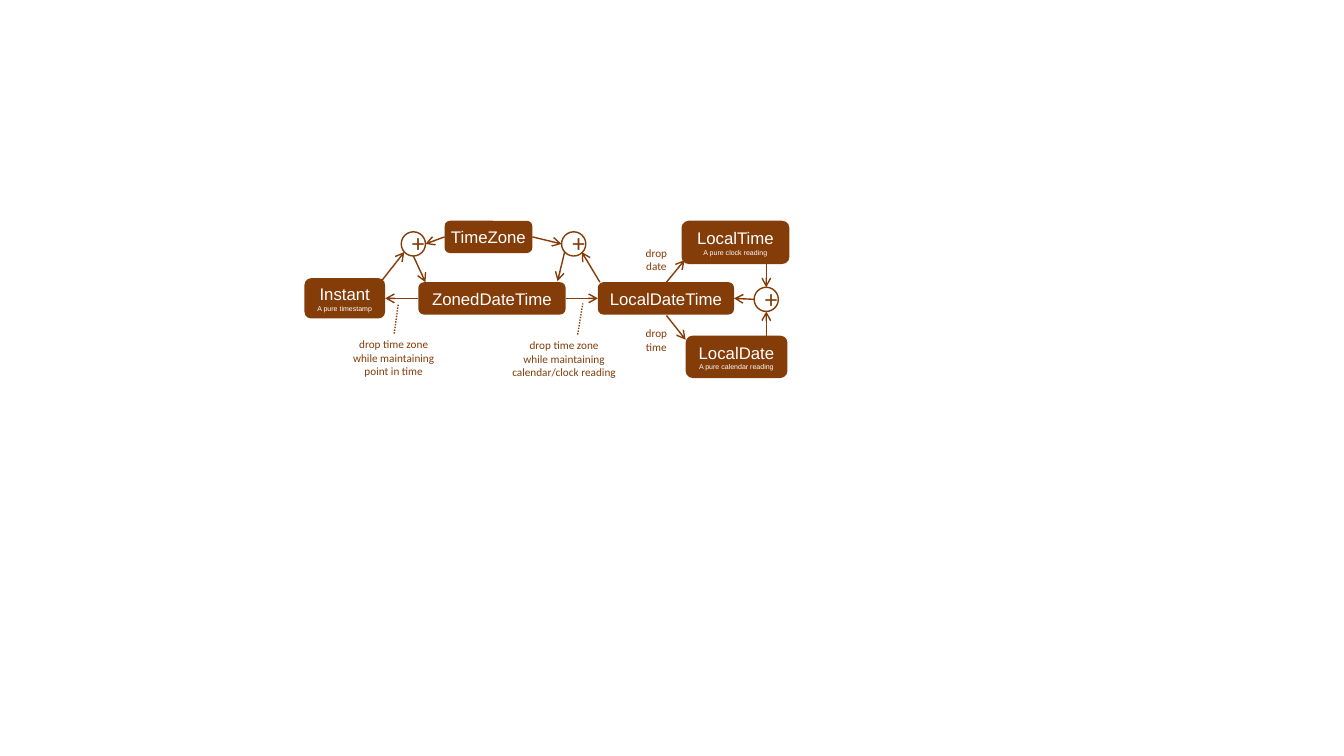
"""Draw a map of date and time types and the conversions between them."""
from copy import deepcopy
from dataclasses import dataclass

from lxml import etree
from pptx import Presentation
from pptx.dml.color import RGBColor
from pptx.enum.dml import MSO_LINE
from pptx.enum.shapes import MSO_CONNECTOR, MSO_SHAPE
from pptx.enum.text import MSO_ANCHOR, MSO_AUTO_SIZE, PP_ALIGN
from pptx.oxml.ns import qn
from pptx.util import Emu, Pt

SCALE = 9144
ROUND, OVAL = MSO_SHAPE.ROUNDED_RECTANGLE, MSO_SHAPE.OVAL
STRAIGHT, DOTS = MSO_CONNECTOR.STRAIGHT, MSO_LINE.ROUND_DOT
MIDDLE, CENTER = MSO_ANCHOR.MIDDLE, PP_ALIGN.CENTER
GROW = MSO_AUTO_SIZE.SHAPE_TO_FIT_TEXT


@dataclass(frozen=True)
class Theme:
    brown: RGBColor = RGBColor(0x84, 0x3C, 0x09)
    white: RGBColor = RGBColor(0xFF, 0xFF, 0xFF)
    head: str = "Arial"
    body: str = "Calibri"
    name: int = 12
    hint: int = 5
    plus: int = 18
    note: int = 8
    line: int = 1


@dataclass(frozen=True)
class Box:
    x: int
    y: int
    w: int
    h: int
    text: str
    side: int = 10


@dataclass(frozen=True)
class Link:
    x1: int
    y1: int
    x2: int
    y2: int
    dotted: bool = False


THEME = Theme()
RING = 24
TYPES = [
    Box(415, 280, 146, 32, "ZonedDateTime"),
    Box(676, 219, 107, 43, "LocalTime\vA pure clock reading"),
    Box(680, 333, 101, 42, "LocalDate\vA pure calendar reading"),
    Box(593, 280, 135, 32, "LocalDateTime"),
    Box(302, 276, 80, 40, "Instant\vA pure timestamp"),
    Box(441, 219, 87, 32, "TimeZone", 0),
]
JOINS = [Box(x, y, RING, RING, "+") for x, y in ((398, 230), (557, 230), (748, 285))]
NOTES = [
    Box(627, 319, 48, 37, "drop time"),
    Box(627, 239, 48, 37, "drop date"),
    Box(495, 331, 129, 50, "drop time zone\vwhile maintaining calendar/clock reading"),
    Box(338, 330, 105, 50, "drop time zone\vwhile maintaining point in time"),
]
LINKS = [
    Link(441, 235, 422, 242),
    Link(379, 278, 401, 250),
    Link(410, 254, 422, 280),
    Link(595, 280, 577, 250),
    Link(528, 235, 557, 242),
    Link(560, 250, 553, 279),
    Link(760, 261, 760, 285),
    Link(760, 333, 760, 309),
    Link(748, 297, 728, 296),
    Link(415, 296, 382, 296),
    Link(561, 296, 593, 296),
    Link(661, 313, 680, 337),
    Link(661, 280, 679, 258),
    Link(573, 332, 578, 301, True),
    Link(391, 331, 395, 302, True),
]


def px(*vals: int) -> list[Emu]:
    """Turn px into EMU."""
    return [Emu(val * SCALE) for val in vals]


def write(frame, text: str, font: str, sizes: list[int], color: RGBColor) -> None:
    """Write centred text, with one size per line."""
    frame.word_wrap = True
    par = frame.paragraphs[0]
    par.text = text
    par.alignment = CENTER
    for run, size in zip(par.runs, sizes):
        run.font.name, run.font.size = font, Pt(size)
        run.font.color.rgb = color
    for gap in par._p.findall(qn("a:br")):
        gap.append(deepcopy(par.runs[0]._r.rPr))


def add_shape(slide, kind: MSO_SHAPE, box: Box):
    """Add a flat shape with its text set in the middle."""
    shape = slide.shapes.add_shape(kind, *px(box.x, box.y, box.w, box.h))
    shape.shadow.inherit = False
    frame = shape.text_frame
    frame.vertical_anchor = MIDDLE
    frame.margin_left, frame.margin_right = px(box.side, box.side)
    return shape


def add_type(slide, box: Box) -> None:
    """Add a filled box that names a type."""
    shape = add_shape(slide, ROUND, box)
    shape.fill.solid()
    shape.fill.fore_color.rgb = THEME.brown
    shape.line.fill.background()
    write(shape.text_frame, box.text, THEME.head, [THEME.name, THEME.hint], THEME.white)


def add_join(slide, box: Box) -> None:
    """Add a ring with a plus sign."""
    shape = add_shape(slide, OVAL, box)
    shape.fill.background()
    shape.line.color.rgb = THEME.brown
    shape.line.width = Pt(THEME.line)
    frame = shape.text_frame
    frame.margin_top, frame.margin_bottom = px(0, 2)
    write(frame, box.text, THEME.body, [THEME.plus], THEME.brown)


def add_note(slide, box: Box) -> None:
    """Add a small caption."""
    frame = slide.shapes.add_textbox(*px(box.x, box.y, box.w, box.h)).text_frame
    write(frame, box.text, THEME.body, [THEME.note] * 2, THEME.brown)
    frame.auto_size = GROW


def add_link(slide, link: Link) -> None:
    """Add an arrow, or a plain dotted line."""
    ends = px(link.x1, link.y1, link.x2, link.y2)
    wire = slide.shapes.add_connector(STRAIGHT, *ends)
    wire.line.color.rgb = THEME.brown
    wire.line.width = Pt(THEME.line)
    if link.dotted:
        wire.line.dash_style = DOTS
    else:
        etree.SubElement(wire.line._get_or_add_ln(), qn("a:tailEnd"), type="arrow")
    etree.SubElement(wire._element.spPr, qn("a:effectLst"))


def main() -> None:
    """Build and save the slide."""
    deck = Presentation()
    deck.slide_width, deck.slide_height = px(1333, 750)
    slide = deck.slides.add_slide(deck.slide_layouts[6])
    for draw, items in (
        (add_type, TYPES),
        (add_join, JOINS),
        (add_link, LINKS),
        (add_note, NOTES),
    ):
        for item in items:
            draw(slide, item)
    deck.save("out.pptx")


if __name__ == "__main__":
    main()
